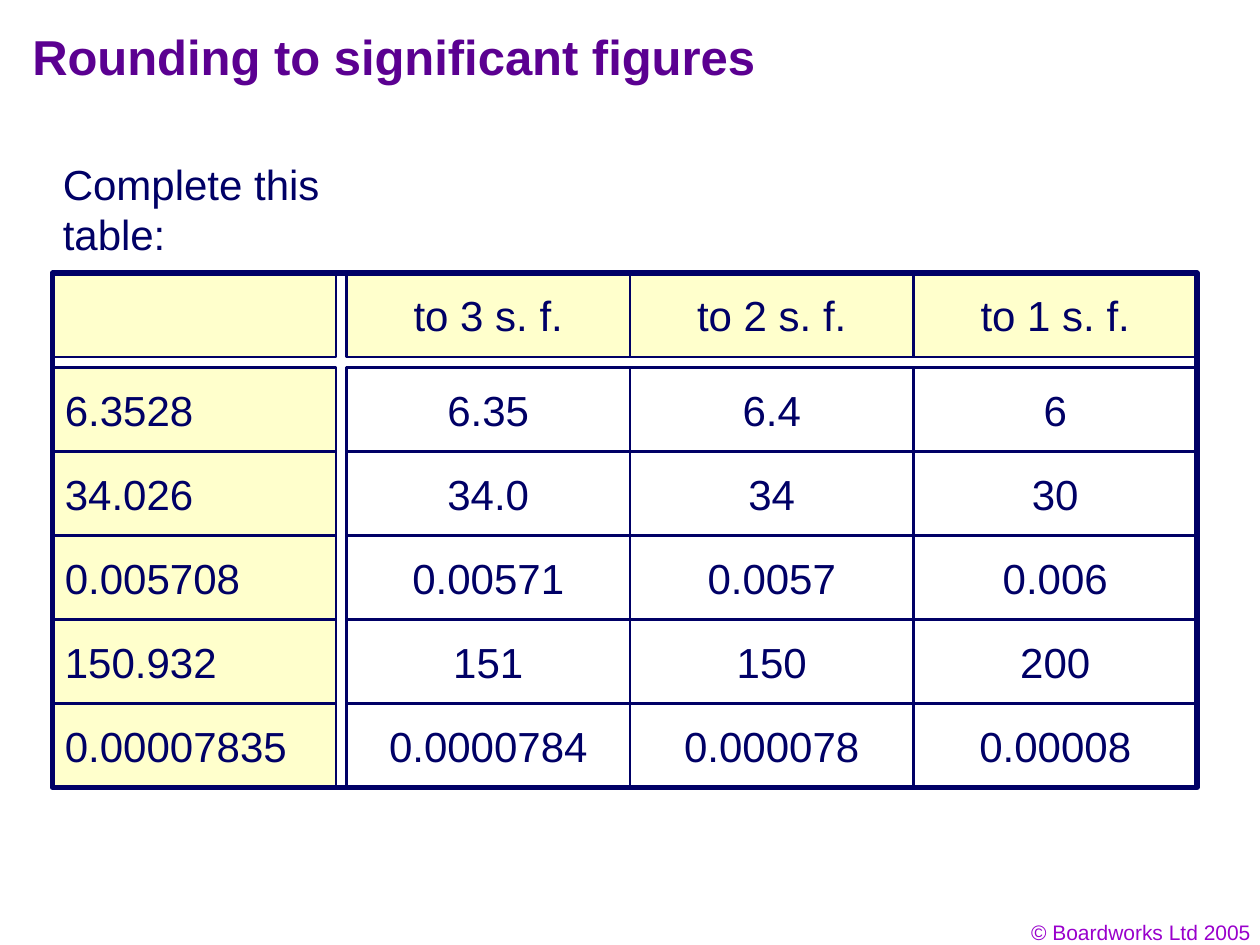
import pptx
import pptx.util
import pptx.dml.color
import pptx.enum.shapes
import pptx.enum.text

ALIGN = pptx.enum.text.PP_ALIGN
ANCHOR = pptx.enum.text.MSO_ANCHOR
COLORS = {
    "title": "5B0091",
    "ink": "000066",
    "label": "FFFFCC",
    "answer": "FFFFFF",
    "footer": "9900CC",
}
UNIT = pptx.util.Inches(1) / 12
SLIDE_COLS, SLIDE_ROWS = 120, 90
COL, ROW, GAP = 27, 8, 1
ROWS = [
    ["", "to 3 s. f.", "to 2 s. f.", "to 1 s. f."],
    ["6.3528", "6.35", "6.4", "6"],
    ["34.026", "34.0", "34", "30"],
    ["0.005708", "0.00571", "0.0057", "0.006"],
    ["150.932", "151", "150", "200"],
    ["0.00007835", "0.0000784", "0.000078", "0.00008"],
]


def rgb(name):
    return pptx.dml.color.RGBColor.from_string(COLORS[name])


def grid(*units):
    return [pptx.util.Emu(round(u * UNIT)) for u in units]


def write(sp, text, size=24, color="ink", bold=False,
          align=ALIGN.LEFT, anchor=ANCHOR.TOP, wrap=True):
    tf = sp.text_frame
    tf.word_wrap = wrap
    tf.vertical_anchor = anchor
    p = tf.paragraphs[0]
    p.alignment = align
    r = p.add_run()
    r.text = text
    r.font.name = "Arial"
    r.font.size = pptx.util.Pt(size)
    r.font.bold = bold
    r.font.color.rgb = rgb(color)


def add_text(s, box, text, **style):
    write(s.shapes.add_textbox(*grid(*box)), text, **style)


def add_rect(s, box, fill, width):
    sp = s.shapes.add_shape(pptx.enum.shapes.MSO_SHAPE.RECTANGLE, *grid(*box))
    sp.shadow.inherit = False
    if fill:
        sp.fill.solid()
        sp.fill.fore_color.rgb = rgb(fill)
    else:
        sp.fill.background()
    sp.line.color.rgb = rgb("ink")
    sp.line.width = pptx.util.Pt(width)
    return sp


def add_rounding_table(s, box):
    left, top, width, height = box
    for i, row in enumerate(ROWS):
        for j, text in enumerate(row):
            x = left + j * COL + (GAP if j else 0)
            y = top + i * ROW + (GAP if i else 0)
            fill = "answer" if i and j else "label"
            sp = add_rect(s, (x, y, COL, ROW), fill, 1.5)
            if text:
                write(sp, text, anchor=ANCHOR.MIDDLE,
                      align=ALIGN.CENTER if j else ALIGN.LEFT)
    add_rect(s, (left, top, width, height), None, 3)


def main():
    prs = pptx.Presentation()
    prs.slide_width, prs.slide_height = grid(SLIDE_COLS, SLIDE_ROWS)
    s = prs.slides.add_slide(prs.slide_layouts[6])
    add_text(s, (92.3, 87, 28, 3.6), "© Boardworks Ltd 2005",
             size=12, color="footer", align=ALIGN.RIGHT)
    add_text(s, (1.9, 1.9, 102, 6.6), "Rounding to significant figures",
             size=28, color="title", bold=True)
    add_text(s, (4.8, 14.5, 37.7, 6), "Complete this table:", wrap=False)
    add_rounding_table(
        s, (5, 26, len(ROWS[0]) * COL + GAP, len(ROWS) * ROW + GAP))
    prs.save("out.pptx")


if __name__ == "__main__":
    main()
